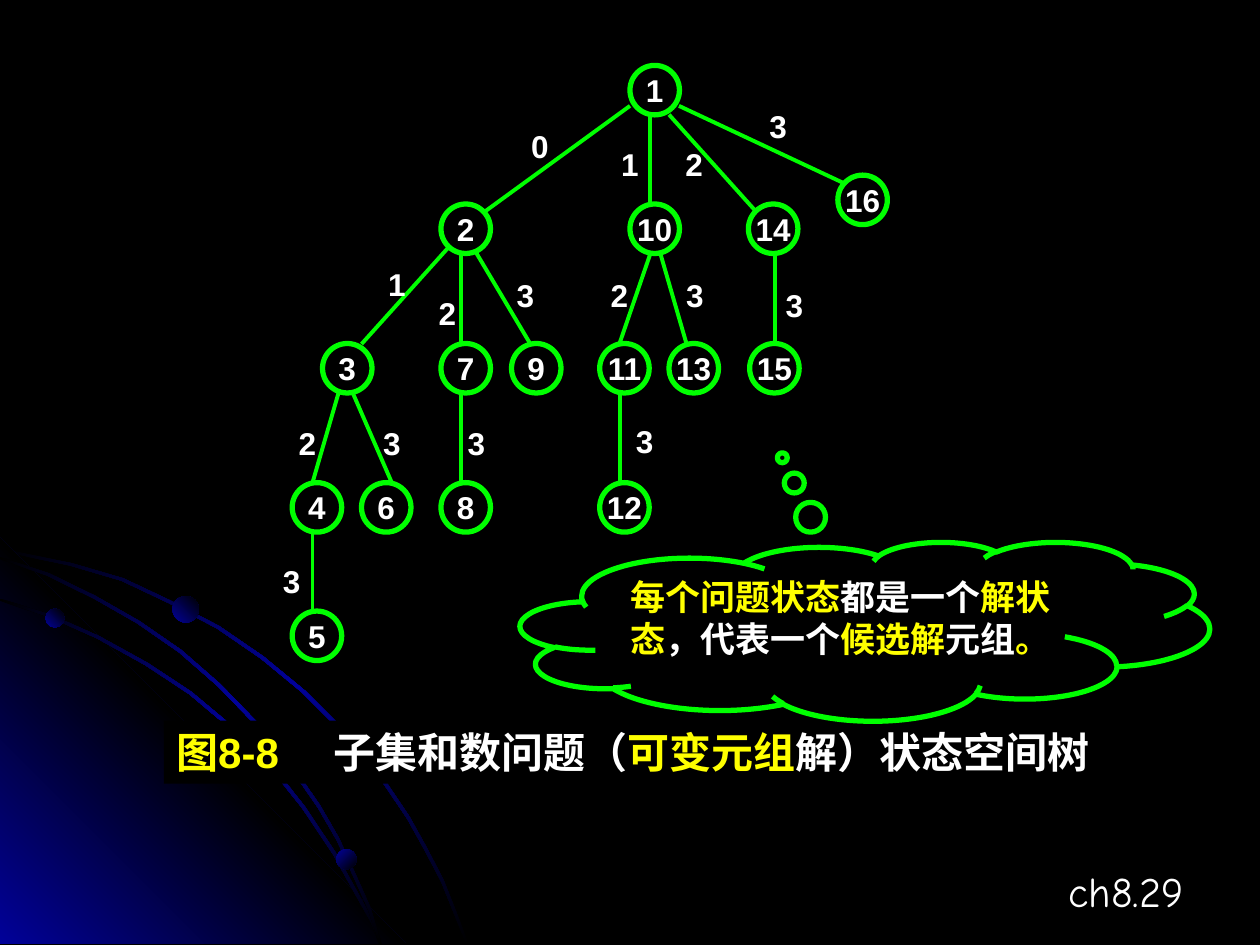
"""Build the slide with the variable-length-tuple state space tree for subset sum."""
from lxml import etree
from pptx import Presentation
from pptx.dml import color
from pptx.enum import shapes, text
from pptx.oxml import ns
from pptx.util import Pt

BLACK = color.RGBColor(0x00, 0x00, 0x00)
WHITE = color.RGBColor(0xFF, 0xFF, 0xFF)
YELLOW = color.RGBColor(0xFF, 0xFF, 0x00)
GREEN = color.RGBColor(0x00, 0xFF, 0x00)
BLUE = color.RGBColor(0x01, 0x01, 0x99)

ORBITS = [
    [(0, 313.2), (20, 317.5), (41, 321.8), (70.6, 330.5), (97.9, 343.4), (125.3, 357.8),
     (150.5, 375.1), (174.2, 394.6), (195.8, 416.2), (216, 439.9), (234, 466.6),
     (244, 484.6), (253.4, 502.6), (260.6, 520.6), (267.8, 539.3)],
    [(0, 342), (29.5, 351.4), (56.9, 363.6), (84.2, 378.7), (109.4, 395.3), (132.5, 414.7),
     (154.8, 436.3), (174.2, 460.8), (191.5, 486.7), (205.9, 512.6), (213.1, 525.6),
     (218.2, 539.3)],
    [(0, 318.2), (28.1, 327.6), (54.7, 340.6), (79.9, 355), (103.7, 371.5), (126, 391),
     (146.9, 412.6), (164.9, 434.2), (182.9, 460.1), (193.7, 478.8), (203, 499),
     (211.7, 518.4), (218.2, 539.3)],
]
ORBIT_WIDTH = 1.3
GLOW = [(232, 539.3), (0, 539.3), (0, 307.4)]
PLANETS = [(26, 347.8, 10.8, 315), (192.2, 485.3, 11.5, 45), (98.6, 340.6, 15.1, 315)]

NODE_SIZE = 28.3
NODE_ROWS = {
    37.4: {"1": 360},
    100.1: {"16": 478.8},
    116.6: {"2": 252, "10": 360, "14": 427.7},
    196.3: {"3": 184.3, "7": 252, "9": 292.3, "11": 342.7, "13": 382.3, "15": 428.4},
    275.8: {"4": 167, "6": 206.6, "8": 252, "12": 342.7},
    349.2: {"5": 167},
}
LABEL_SIZE = (20, 21.6)
EDGES = [
    ((360, 60.5), (275, 122.4), "0", (308.5, 72.7)),
    ((371.5, 65.5), (371.5, 116.6), "1", (360, 82.8)),
    ((382.3, 65.5), (433.4, 122.4), "2", (396.7, 82.8)),
    ((388, 60.5), (484.6, 105.8), "3", (444.6, 61.2)),
    ((257.8, 139.7), (206.6, 196.6), "1", (226.8, 151.2)),
    ((263.5, 145.4), (263.5, 202.3), "2", (255.6, 167.8)),
    ((269.3, 139.7), (303.1, 196.6), "3", (300.2, 157.7)),
    ((371.5, 145.4), (354.2, 195.8), "2", (353.9, 157.7)),
    ((377.3, 144.7), (393.8, 201.6), "3", (397.1, 157.7)),
    ((442.8, 145.4), (442.8, 196.6), "3", (454, 163.4)),
    ((195.1, 218.9), (178.6, 275.8), "2", (175.7, 242.6)),
    ((201.6, 224.6), (223.9, 275.8), "3", (223.9, 242.6)),
    ((263.5, 224.6), (263.5, 281.5), "3", (272.2, 242.6)),
    ((354.2, 218.9), (354.2, 275.8), "3", (368.3, 241.2)),
    ((178.6, 303.8), (178.6, 349.2), "3", (166.7, 321.1)),
]

CAPTION = [("图8-8\t", YELLOW), ("子集和数问题（", WHITE), ("可变元组", YELLOW),
           ("解）状态空间树", WHITE)]
CAPTION_TAB = 90
REMARK = [("每个问题状态", YELLOW), ("都是一个", WHITE), ("解状态", YELLOW),
          ("，代表一个", WHITE), ("候选解", YELLOW), ("元组", WHITE), ("。", YELLOW)]


def points(*values):
    return [Pt(value) for value in values]


def write(shape, runs, size, align, font="Arial", bold=True, wrap=True, anchor="TOP"):
    frame = shape.text_frame
    frame.word_wrap = wrap
    frame.vertical_anchor = getattr(text.MSO_ANCHOR, anchor)
    paragraph = frame.paragraphs[0]
    paragraph.alignment = getattr(text.PP_ALIGN, align)
    for words, ink in runs:
        run = paragraph.add_run()
        run.text = words
        run.font.name, run.font.size, run.font.bold = font, Pt(size), bold
        run.font.color.rgb = ink
    return paragraph


def paint_gradient(shape, colours, angle):
    shape.shadow.inherit = False
    shape.line.fill.background()
    shape.fill.gradient()
    shape.fill.gradient_angle = 360 - angle
    stops = shape._element.spPr.find(".//" + ns.qn("a:gsLst"))
    for stop in list(stops):
        stops.remove(stop)
    for index, colour in enumerate(colours):
        position = str(100000 * index // (len(colours) - 1))
        stop = etree.SubElement(stops, ns.qn("a:gs"), pos=position)
        etree.SubElement(stop, ns.qn("a:srgbClr"), val=str(colour))


def add_outline(slide, corners):
    builder = slide.shapes.build_freeform(*points(*corners[0]), scale=1.0)
    builder.add_line_segments([points(*corner) for corner in corners[1:]], close=True)
    return builder.convert_to_shape()


def add_black_shape(parent, kind, box, outline=True):
    shape = parent.add_shape(kind, *points(*box))
    shape.shadow.inherit = False
    shape.fill.solid()
    shape.fill.fore_color.rgb = BLACK
    if outline:
        shape.line.color.rgb, shape.line.width = GREEN, Pt(3)
    else:
        shape.line.fill.background()
    return shape


def add_backdrop(slide):
    slide.background.fill.solid()
    slide.background.fill.fore_color.rgb = BLACK

    def add_orbit(edge):
        inner = [(max(0, x - ORBIT_WIDTH), min(540, y + ORBIT_WIDTH)) for x, y in edge]
        paint_gradient(add_outline(slide, edge + inner[::-1]), (BLACK, BLUE, BLACK), 45)

    add_orbit(ORBITS[0])
    paint_gradient(add_outline(slide, GLOW), (BLUE, BLACK, BLUE), 315)
    for edge in ORBITS[1:]:
        add_orbit(edge)
    for left, top, size, angle in PLANETS:
        planet = slide.shapes.add_shape(shapes.MSO_SHAPE.OVAL, *points(left, top, size, size))
        paint_gradient(planet, (BLUE, BLACK), angle)


def add_tree(slide):
    tree = slide.shapes.add_group_shape().shapes
    for start, end, _, _ in EDGES:
        line = tree.add_connector(shapes.MSO_CONNECTOR.STRAIGHT, *points(*start, *end))
        line.line.color.rgb, line.line.width = GREEN, Pt(2.25)
        etree.SubElement(line._element.spPr, ns.qn("a:effectLst"))
    for top, row in NODE_ROWS.items():
        for number, left in row.items():
            box = (left, top, NODE_SIZE, NODE_SIZE)
            node = add_black_shape(tree, shapes.MSO_SHAPE.OVAL, box)
            write(node, [(number, WHITE)], 18, "CENTER", wrap=False, anchor="MIDDLE")
    width, height = LABEL_SIZE
    for _, _, choice, (center, top) in EDGES:
        label = tree.add_textbox(*points(center - width / 2, top, width, height))
        frame = label.text_frame
        frame.margin_left = frame.margin_right = frame.margin_top = frame.margin_bottom = 0
        write(label, [(choice, WHITE)], 18, "CENTER")


def main():
    presentation = Presentation()
    presentation.slide_width, presentation.slide_height = points(720, 540)
    slide = presentation.slides.add_slide(presentation.slide_layouts[6])
    add_backdrop(slide)

    number = slide.shapes.add_textbox(*points(513.4, 491, 170, 36))
    write(number, [("ch8.29", WHITE)], 24, "RIGHT", font="Comic Neue", bold=False)

    caption = add_black_shape(slide.shapes, shapes.MSO_SHAPE.RECTANGLE,
                              (93.6, 411.8, 555.8, 36), outline=False)
    paragraph = write(caption, CAPTION, 24, "LEFT")
    tabs = etree.SubElement(paragraph._p.get_or_add_pPr(), ns.qn("a:tabLst"))
    etree.SubElement(tabs, ns.qn("a:tab"), pos=str(Pt(CAPTION_TAB)), algn="l")

    add_tree(slide)

    cloud = add_black_shape(slide.shapes, shapes.MSO_SHAPE.CLOUD_CALLOUT,
                            (297.4, 309.6, 393.8, 102.2))
    cloud.adjustments[0], cloud.adjustments[1] = -0.12, -0.97
    write(cloud, REMARK, 20, "CENTER")

    presentation.save("out.pptx")


if __name__ == "__main__":
    main()
